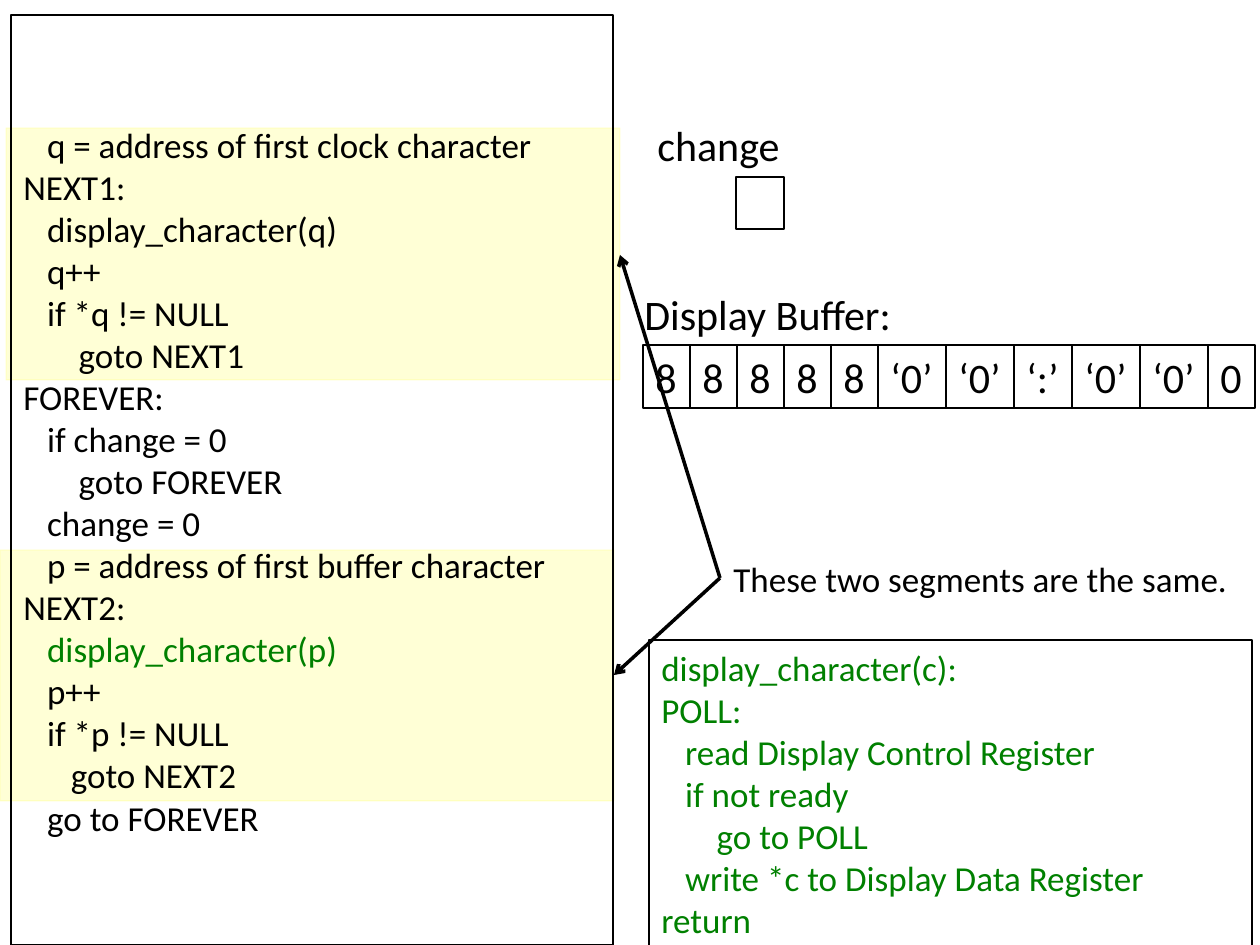
from dataclasses import dataclass

from lxml import etree
from pptx import Presentation
from pptx.dml.color import RGBColor
from pptx.enum.shapes import MSO_CONNECTOR, MSO_SHAPE
from pptx.enum.text import MSO_ANCHOR, MSO_AUTO_SIZE, PP_ALIGN
from pptx.oxml.ns import qn
from pptx.util import Pt

RECTANGLE = MSO_SHAPE.RECTANGLE
STRAIGHT = MSO_CONNECTOR.STRAIGHT
TOP, MIDDLE = MSO_ANCHOR.TOP, MSO_ANCHOR.MIDDLE
FIT_SHAPE = MSO_AUTO_SIZE.SHAPE_TO_FIT_TEXT
NO_FIT = MSO_AUTO_SIZE.NONE
LEFT = PP_ALIGN.LEFT

EMU_PER_PX = 914400 / 126
BLANK_LAYOUT = 6


@dataclass(frozen=True)
class Theme:
    font: str = "Calibri"
    ink: RGBColor = RGBColor(0, 0, 0)
    subroutine: RGBColor = RGBColor(0, 128, 0)
    highlight: RGBColor = RGBColor(255, 255, 0)
    highlight_fill_alpha: int = 16
    highlight_line_alpha: int = 11
    label_size: Pt = Pt(24)
    code_size: Pt = Pt(20)
    outline: Pt = Pt(0.75)
    arrow: Pt = Pt(2)


THEME = Theme()

MAIN_CODE = """\
   q = address of first clock character
NEXT1:
   display_character(q)
   q++
   if *q != NULL
       goto NEXT1
FOREVER:
   if change = 0
       goto FOREVER
   change = 0
   p = address of first buffer character
NEXT2:
   display_character(p)
   p++
   if *p != NULL
      goto NEXT2
   go to FOREVER""".split("\n")
SUBROUTINE_CALL = "   display_character(p)"

SUBROUTINE_CODE = """\
display_character(c):
POLL:
   read Display Control Register
   if not ready
       go to POLL
   write *c to Display Data Register
return""".split("\n")

# Buffer characters with their cell widths
BUFFER = [("8", 47)] * 5 + [
    ("‘0’", 68), ("‘0’", 68), ("‘:’", 58), ("‘0’", 68), ("‘0’", 68), ("0", 47),
]


def px(length):
    return round(length * EMU_PER_PX)


def write(frame, lines, size, color, wrap=False, fit=FIT_SHAPE, anchor=TOP):
    frame.word_wrap = wrap
    frame.auto_size = fit
    frame.vertical_anchor = anchor
    for number, line in enumerate(lines):
        paragraph = frame.add_paragraph() if number else frame.paragraphs[0]
        paragraph.add_run().text = line
        paragraph.alignment = LEFT
        paragraph.font.name = THEME.font
        paragraph.font.size = size
        paragraph.font.color.rgb = THEME.subroutine if line == SUBROUTINE_CALL else color


def add_box(slide, left, top, width, height):
    box = slide.shapes.add_shape(RECTANGLE, px(left), px(top), px(width), px(height))
    box.shadow.inherit = False
    box.fill.background()
    box.line.color.rgb = THEME.ink
    box.line.width = THEME.outline
    return box


def add_label(slide, left, top, width, height, text, size):
    label = slide.shapes.add_textbox(px(left), px(top), px(width), px(height))
    write(label.text_frame, [text], size, THEME.ink)


def set_alpha(solid_fill, percent):
    etree.SubElement(solid_fill[0], qn("a:alpha"), val=str(percent * 1000))


def add_highlight(slide, left, top, width, height):
    band = add_box(slide, left, top, width, height)
    band.fill.solid()
    band.fill.fore_color.rgb = THEME.highlight
    band.line.color.rgb = THEME.highlight
    properties = band._element.spPr
    set_alpha(properties.find(qn("a:solidFill")), THEME.highlight_fill_alpha)
    set_alpha(properties.find(qn("a:ln")).find(qn("a:solidFill")), THEME.highlight_line_alpha)


def add_arrow(slide, start, end):
    arrow = slide.shapes.add_connector(STRAIGHT, *map(px, start + end))
    arrow.line.color.rgb = THEME.ink
    arrow.line.width = THEME.arrow
    properties = arrow._element.spPr
    etree.SubElement(properties.find(qn("a:ln")), qn("a:tailEnd"), type="arrow")
    etree.SubElement(properties, qn("a:effectLst"))


def add_buffer(slide, left, top, height):
    for character, width in BUFFER:
        cell = add_box(slide, left, top, width, height)
        write(cell.text_frame, [character], THEME.label_size, THEME.ink)
        left += width


def main():
    deck = Presentation()
    deck.slide_width, deck.slide_height = px(1260), px(945)
    slide = deck.slides.add_slide(deck.slide_layouts[BLANK_LAYOUT])

    # Memory: display buffer and change flag
    add_buffer(slide, 643, 345, 63)
    add_box(slide, 736, 177, 48, 52)
    add_label(slide, 645, 113, 154, 63, "change", THEME.label_size)
    add_label(slide, 632, 282, 276, 63, "Display Buffer:", THEME.label_size)

    # Subroutine listing
    subroutine = add_box(slide, 649, 640, 603, 307)
    write(subroutine.text_frame, SUBROUTINE_CODE, THEME.code_size,
          THEME.subroutine, wrap=True)

    # The two matching segments and their callout
    callout = (720, 578)
    add_highlight(slide, 0, 550, 614, 251)
    add_arrow(slide, callout, (614, 675))
    add_label(slide, 721, 551, 524, 55, "These two segments are the same.", THEME.code_size)
    add_highlight(slide, 6, 128, 614, 252)
    add_arrow(slide, callout, (620, 255))

    # Main program listing
    program = add_box(slide, 11, 15, 602, 930)
    write(program.text_frame, MAIN_CODE, THEME.code_size, THEME.ink,
          wrap=True, fit=NO_FIT, anchor=MIDDLE)
    program.text_frame.margin_top = px(8)

    deck.save("out.pptx")


if __name__ == "__main__":
    main()
